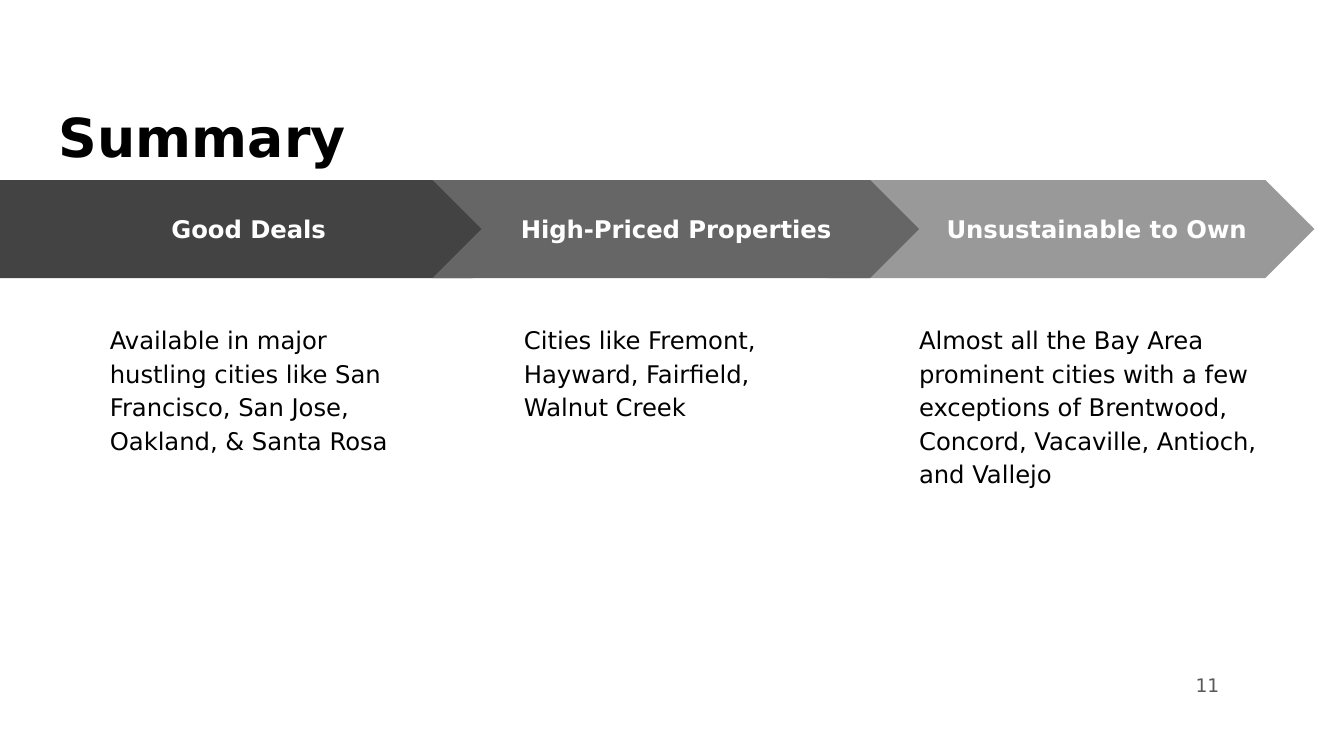
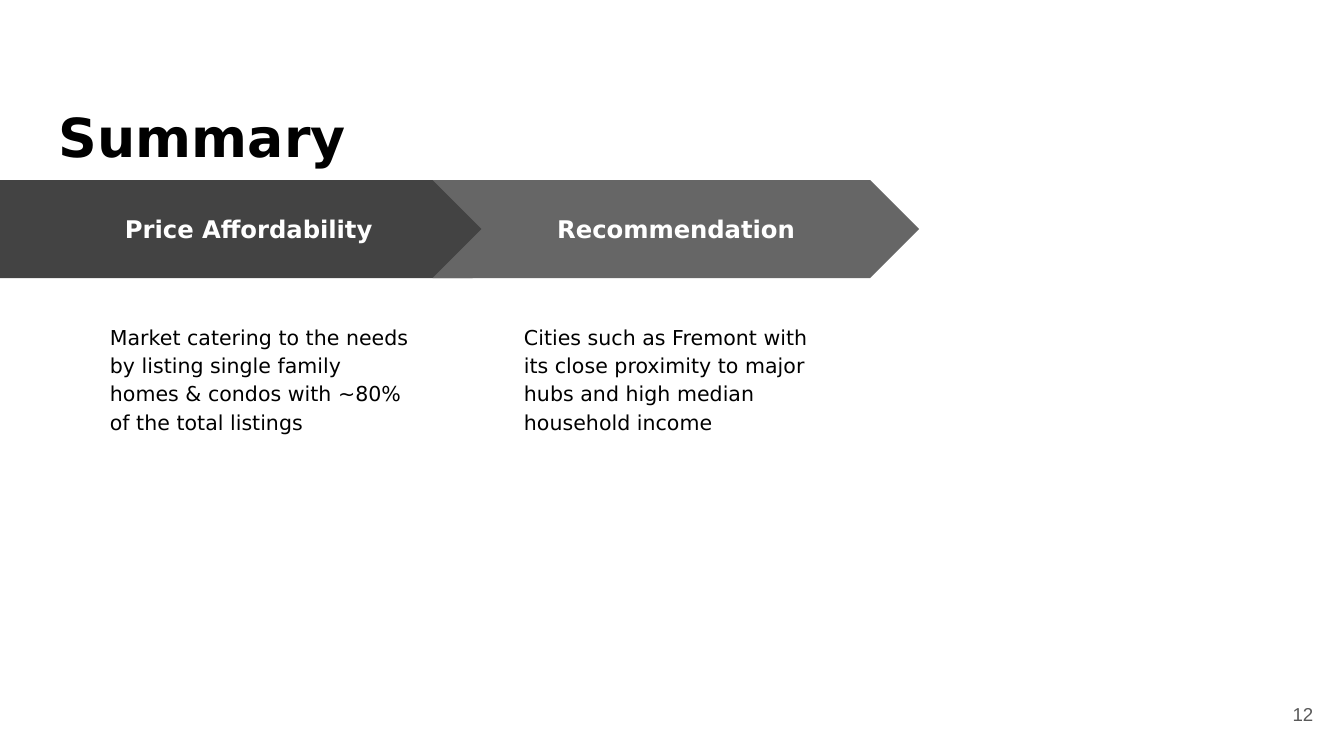
from dataclasses import dataclass

from pptx import Presentation
from pptx.dml.color import RGBColor
from pptx.enum.shapes import MSO_SHAPE
from pptx.enum.text import MSO_ANCHOR, PP_ALIGN
from pptx.util import Pt

PLATE, CHEVRON = MSO_SHAPE.PENTAGON, MSO_SHAPE.CHEVRON
TOP, MIDDLE = MSO_ANCHOR.TOP, MSO_ANCHOR.MIDDLE
LEFT, CENTER, RIGHT = PP_ALIGN.LEFT, PP_ALIGN.CENTER, PP_ALIGN.RIGHT

COLORS = {
    "ink": "000000",
    "white": "FFFFFF",
    "number": "595959",
    "dark": "434343",
    "medium": "666666",
    "light": "999999",
}
SANS = "DejaVu Sans"
INSET = 7.2
BAND_TOP, BAND_HEIGHT = 96.5, 52.5
BODY_TOP, BODY_HEIGHT = 164.9, 205.9


@dataclass(frozen=True)
class TextStyle:
    size: float
    color: str = "ink"
    bold: bool = False
    font: str = SANS
    align: int = LEFT
    anchor: int = TOP
    spacing: float = 1.0


@dataclass(frozen=True)
class Column:
    """Place and look of one step in the band and of the text below it."""
    outline: int
    fill: str
    left: float
    width: float
    body_left: float
    body_width: float
    label_shift: float = 0


@dataclass(frozen=True)
class Step:
    column: Column
    label: str
    body: tuple[str, ...]


@dataclass(frozen=True)
class PageNumber:
    text: str
    area: tuple[float, float, float, float]
    font: str


@dataclass(frozen=True)
class Summary:
    number: PageNumber
    body_size: float
    steps: tuple[Step, ...]  # from back to front


TITLE = TextStyle(28.8, bold=True, spacing=1.38)
LABEL = TextStyle(13, "white", bold=True, align=CENTER, anchor=MIDDLE)

FIRST = Column(PLATE, "dark", 0, 279.4, 51.8, 176.4)
SECOND = Column(CHEVRON, "medium", 231.8, 260.6, 273.6, 176.4)
THIRD = Column(CHEVRON, "light", 443.5, 260.6, 485.3, 209.5, label_shift=27)

SUMMARIES = (
    Summary(
        PageNumber("11", (614.9, 350.6, 45.4, 33.1), SANS),
        13,
        (
            Step(THIRD, "Unsustainable to Own", (
                "Almost all the Bay Area",
                "prominent cities with a few exceptions of Brentwood, "
                "Concord, Vacaville, Antioch, and Vallejo",
            )),
            Step(FIRST, "Good Deals", (
                "Available in major hustling cities like San Francisco, "
                "San Jose, Oakland, & Santa Rosa",
            )),
            Step(SECOND, "High-Priced Properties", (
                "Cities like Fremont, Hayward, Fairfield, Walnut Creek",
            )),
        ),
    ),
    Summary(
        PageNumber("12", (667.4, 367.2, 43.2, 31), "Arial"),
        11,
        (
            Step(FIRST, "Price Affordability", (
                "Market catering to the needs by listing single family "
                "homes & condos with ~80% of the total listings",
            )),
            Step(SECOND, "Recommendation", (
                "Cities such as Fremont with its close proximity to major "
                "hubs and high median household income",
            )),
        ),
    ),
)


def write(shape, lines: tuple[str, ...], style: TextStyle, shift: float = 0) -> None:
    """Fill a shape with one paragraph per line."""
    frame = shape.text_frame
    frame_format = {
        "word_wrap": True,
        "vertical_anchor": style.anchor,
        "margin_left": Pt(INSET + shift),
        "margin_top": Pt(INSET),
        "margin_right": Pt(INSET),
        "margin_bottom": Pt(INSET),
    }
    for name, value in frame_format.items():
        setattr(frame, name, value)
    font_format = {"name": style.font, "size": Pt(style.size), "bold": style.bold}
    for index, line in enumerate(lines):
        para = frame.add_paragraph() if index else frame.paragraphs[0]
        para.alignment = style.align
        para.line_spacing = style.spacing
        span = para.add_run()
        span.text = line
        for name, value in font_format.items():
            setattr(span.font, name, value)
        span.font.color.rgb = RGBColor.from_string(COLORS[style.color])


def add_text(page, area: tuple[float, float, float, float],
             lines: tuple[str, ...], style: TextStyle) -> None:
    box = page.shapes.add_textbox(*map(Pt, area))
    write(box, lines, style)


def add_step(page, step: Step, body_size: float) -> None:
    """Draw an arrow of the band with its explanation below."""
    column = step.column
    arrow = page.shapes.add_shape(
        column.outline, Pt(column.left), Pt(BAND_TOP), Pt(column.width), Pt(BAND_HEIGHT))
    arrow.adjustments[0] = 0.5
    arrow.shadow.inherit = False
    arrow.fill.solid()
    arrow.fill.fore_color.rgb = RGBColor.from_string(COLORS[column.fill])
    arrow.line.fill.background()
    write(arrow, (step.label,), LABEL, column.label_shift)
    add_text(page, (column.body_left, BODY_TOP, column.body_width, BODY_HEIGHT),
             step.body, TextStyle(body_size, spacing=1.15))


def add_summary(deck, summary: Summary) -> None:
    page = deck.slides.add_slide(deck.slide_layouts[6])
    # Title and page number
    add_text(page, (24.5, 35.3, 671, 45.4), ("Summary",), TITLE)
    number = summary.number
    add_text(page, number.area, (number.text,),
             TextStyle(10, "number", font=number.font, align=RIGHT, anchor=MIDDLE))
    # Band of steps
    for step in summary.steps:
        add_step(page, step, summary.body_size)


def main() -> None:
    deck = Presentation()
    deck.slide_width, deck.slide_height = Pt(720), Pt(405)
    for summary in SUMMARIES:
        add_summary(deck, summary)
    deck.save("out.pptx")


if __name__ == "__main__":
    main()
